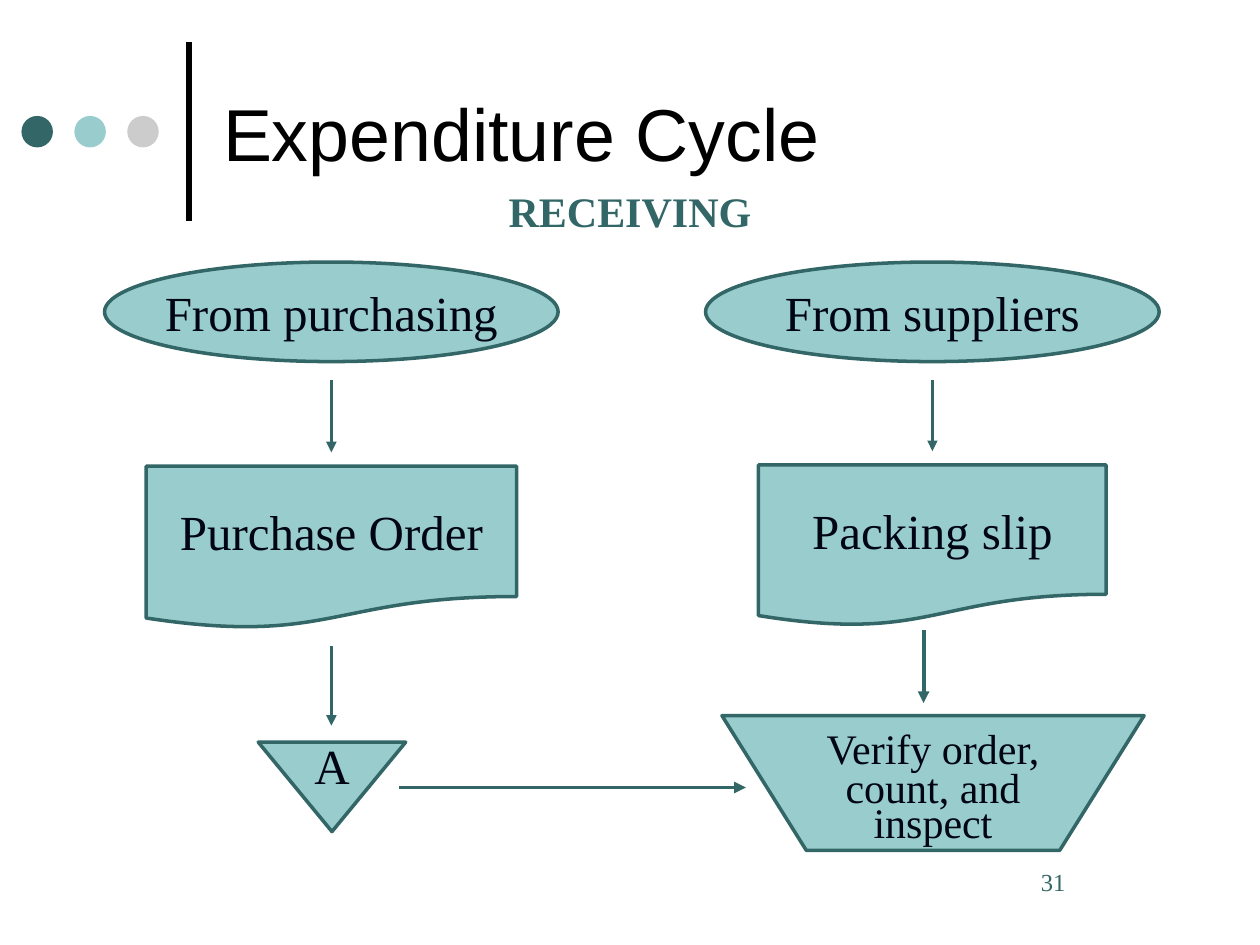
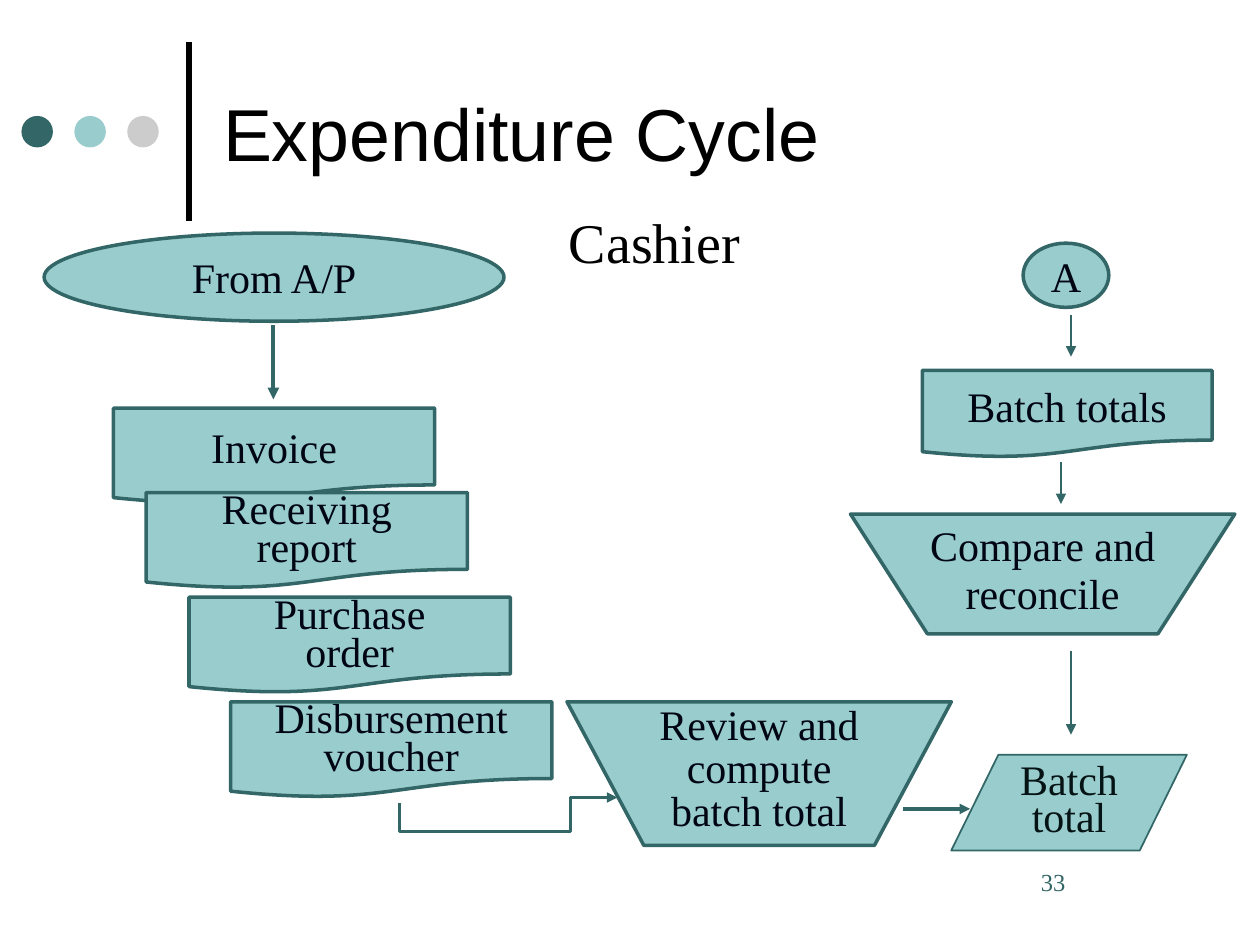
from dataclasses import dataclass
from typing import Any

from lxml import etree
from pptx import Presentation
from pptx import slide as sl
from pptx import util as u
from pptx.dml import color
from pptx.enum import shapes, text
from pptx.oxml import ns

TEAL = color.RGBColor(0x33, 0x66, 0x66)
AQUA = color.RGBColor(0x99, 0xCC, 0xCC)
GREY = color.RGBColor(0xCC, 0xCC, 0xCC)
BLACK = color.RGBColor(0, 0, 0)
INK = color.RGBColor(0x00, 0x05, 0x14)
DARK_INK = color.RGBColor(0x05, 0x13, 0x15)
SERIF = "Times New Roman"

KINDS = shapes.MSO_SHAPE
TERMINAL = KINDS.OVAL
DOCUMENT = KINDS.FLOWCHART_DOCUMENT
MANUAL = KINDS.FLOWCHART_MANUAL_OPERATION
FILE = KINDS.FLOWCHART_MERGE
DATA = KINDS.FLOWCHART_DATA

INSETS = {
    "margin_left": u.Inches(0.1),
    "margin_right": u.Inches(0.1),
    "margin_top": u.Inches(0.05),
    "margin_bottom": u.Inches(0.05),
}
MIDDLE = INSETS | {"word_wrap": False, "vertical_anchor": text.MSO_ANCHOR.MIDDLE}
WRAPPED = INSETS | {"word_wrap": True, "vertical_anchor": text.MSO_ANCHOR.TOP}
CENTER = text.PP_ALIGN.CENTER
LEFT = text.PP_ALIGN.LEFT


@dataclass(frozen=True)
class Step:
    kind: Any
    left: float
    top: float
    width: float
    height: float
    lines: tuple[str, ...]
    size: int = 24
    spacing: tuple[float, ...] = (1,)
    gap: int = 6
    ink: color.RGBColor = INK
    border: float = 2


@dataclass(frozen=True)
class Arrow:
    points: tuple[tuple[float, float], ...]
    weight: float = 2


@dataclass(frozen=True)
class Chart:
    number: str
    caption: str
    caption_at: tuple[float, float, float, float]
    caption_font: dict[str, Any]
    steps: tuple[Step, ...]
    arrows: tuple[Arrow, ...]


def apply(target: Any, values: dict[str, Any]) -> None:
    for name, value in values.items():
        setattr(target, name, value)


def set_font(font: Any, size: int, ink: color.RGBColor, name: str = SERIF, bold: bool = False) -> None:
    apply(font, {"size": u.Pt(size), "name": name, "bold": bold})
    font.color.rgb = ink


def set_line(line: Any, ink: color.RGBColor, weight: float) -> None:
    line.color.rgb = ink
    line.width = u.Pt(weight)


def add_text(page: sl.Slide, at: tuple[float, ...], words: str, align: Any, font: dict[str, Any]) -> Any:
    box = page.shapes.add_textbox(*map(u.Inches, at))
    apply(box.text_frame, WRAPPED)
    para = box.text_frame.paragraphs[0]
    para.alignment = align
    span = para.add_run()
    span.text = words
    set_font(span.font, **font)
    return box


def add_rule(page: sl.Slide, start: tuple[float, float], end: tuple[float, float],
             ink: color.RGBColor, weight: float) -> Any:
    rule = page.shapes.add_connector(
        shapes.MSO_CONNECTOR.STRAIGHT, *map(u.Inches, (*start, *end)))
    set_line(rule.line, ink, weight)
    etree.SubElement(rule.element.spPr, ns.qn("a:effectLst"))
    return rule


def add_frame(page: sl.Slide, number: str) -> None:
    title = page.shapes.title
    apply(title, {
        "left": u.Inches(1.67), "top": u.Inches(0.21),
        "width": u.Inches(7.67), "height": u.Inches(1.67),
    })
    apply(title.text_frame, MIDDLE | {"word_wrap": True})
    para = title.text_frame.paragraphs[0]
    para.alignment = LEFT
    span = para.add_run()
    span.text = "Expenditure Cycle"
    set_font(span.font, 42, BLACK, "Arial")
    add_rule(page, (1.5, 1.75), (1.5, 0.33), BLACK, 3)
    for index, fill in enumerate((TEAL, AQUA, GREY)):
        dot = page.shapes.add_shape(
            KINDS.OVAL, *map(u.Inches, (0.17 + 0.42 * index, 0.92, 0.25, 0.25)))
        dot.shadow.inherit = False
        dot.fill.solid()
        dot.fill.fore_color.rgb = fill
        dot.line.fill.background()
    footer = add_text(page, (7.92, 6.83, 1.42, 0.5), number, LEFT, {"size": 14, "ink": TEAL})
    footer.text_frame.margin_left = u.Inches(0.34)


def add_step(page: sl.Slide, step: Step) -> None:
    shape = page.shapes.add_shape(
        step.kind, *map(u.Inches, (step.left, step.top, step.width, step.height)))
    shape.shadow.inherit = False
    shape.fill.solid()
    shape.fill.fore_color.rgb = AQUA
    set_line(shape.line, TEAL, step.border)
    frame = shape.text_frame
    apply(frame, MIDDLE)
    for index, words in enumerate(step.lines):
        para = frame.add_paragraph() if index else frame.paragraphs[0]
        apply(para, {
            "alignment": CENTER,
            "line_spacing": float(step.spacing[min(index, len(step.spacing) - 1)]),
            "space_before": u.Pt(step.gap if index else 0),
        })
        span = para.add_run()
        span.text = words
        set_font(span.font, step.size, step.ink)


def add_arrow(page: sl.Slide, arrow: Arrow) -> None:
    if len(arrow.points) == 2:
        line = add_rule(page, *arrow.points, TEAL, arrow.weight)
    else:
        corners = [(u.Inches(x), u.Inches(y)) for x, y in arrow.points]
        builder = page.shapes.build_freeform(*corners[0])
        builder.add_line_segments(corners[1:], close=False)
        line = builder.convert_to_shape()
        line.shadow.inherit = False
        line.fill.background()
        set_line(line.line, TEAL, arrow.weight)
    outline = line.element.spPr.find(ns.qn("a:ln"))
    etree.SubElement(outline, ns.qn("a:tailEnd"), type="triangle")


RECEIVING = Chart(
    "31", "RECEIVING", (3.25, 1.42, 3.5, 0.5), {"size": 24, "ink": TEAL, "bold": True},
    (
        Step(TERMINAL, 0.83, 2.08, 3.6, 0.79, ("From purchasing",), 28),
        Step(TERMINAL, 5.6, 2.08, 3.6, 0.79, ("From suppliers",), 28),
        Step(DOCUMENT, 1.16, 3.7, 2.94, 1.29, ("Purchase Order",), 28),
        Step(DOCUMENT, 6.02, 3.69, 2.76, 1.28, ("Packing slip",), 28),
        Step(FILE, 2.05, 5.89, 1.17, 0.71, ("A",), 28),
        Step(MANUAL, 5.73, 5.68, 3.35, 1.07, ("Verify order,", "count, and", "inspect"),
             spacing=(1, 0.5)),
    ),
    (
        Arrow(((2.63, 3.02), (2.63, 3.59))),
        Arrow(((7.4, 3.02), (7.4, 3.58))),
        Arrow(((2.63, 5.13), (2.63, 5.76))),
        Arrow(((7.33, 5), (7.33, 5.58)), 2.25),
        Arrow(((3.17, 6.25), (5.92, 6.25)), 2.25),
    ),
)

PAPERS = (
    (0.9, 3.24, ("Invoice",)),
    (1.16, 3.91, ("Receiving", "report")),
    (1.5, 4.74, ("Purchase", "order")),
    (1.83, 5.57, ("Disbursement", "voucher")),
)

CASHIER = Chart(
    "33", "Cashier", (3.33, 1.6, 3.73, 0.63), {"size": 32, "ink": BLACK},
    (
        Step(TERMINAL, 0.35, 1.85, 3.65, 0.7, ("From A/P",)),
        *(Step(DOCUMENT, left, top, 2.55, 0.76, lines,
               spacing=(0.75, 0.5) if len(lines) > 1 else (1,))
          for left, top, lines in PAPERS),
        Step(TERMINAL, 8.12, 1.93, 0.68, 0.51, ("A",)),
        Step(DOCUMENT, 7.32, 2.94, 2.3, 0.69, ("Batch totals",)),
        Step(MANUAL, 6.75, 4.08, 3.05, 0.95, ("Compare and", "reconcile"), spacing=(0.75,)),
        Step(MANUAL, 4.5, 5.57, 3.05, 1.14, ("Review and", "compute", "batch total"),
             spacing=(0.65,)),
        Step(DATA, 7.55, 5.99, 1.87, 0.76, ("Batch", "total"), spacing=(0.75,), gap=0,
             ink=DARK_INK, border=1),
    ),
    (
        Arrow(((3.17, 6.37), (3.17, 6.6), (4.53, 6.6), (4.53, 6.33), (4.9, 6.33))),
        Arrow(((7.17, 6.42), (7.7, 6.42))),
        Arrow(((2.17, 2.58), (2.17, 3.17)), 2.25),
        Arrow(((8.5, 2.5), (8.5, 2.83)), 1.5),
        Arrow(((8.42, 3.67), (8.42, 4)), 1.5),
        Arrow(((8.5, 5.17), (8.5, 5.83)), 1.5),
    ),
)


def main() -> None:
    deck = Presentation()
    apply(deck, {"slide_width": u.Inches(10), "slide_height": u.Inches(7.5)})
    for chart in (RECEIVING, CASHIER):
        page = deck.slides.add_slide(deck.slide_layouts[5])
        add_frame(page, chart.number)
        add_text(page, chart.caption_at, chart.caption, CENTER, chart.caption_font)
        for step in chart.steps:
            add_step(page, step)
        for arrow in chart.arrows:
            add_arrow(page, arrow)
    deck.save("out.pptx")


if __name__ == "__main__":
    main()
